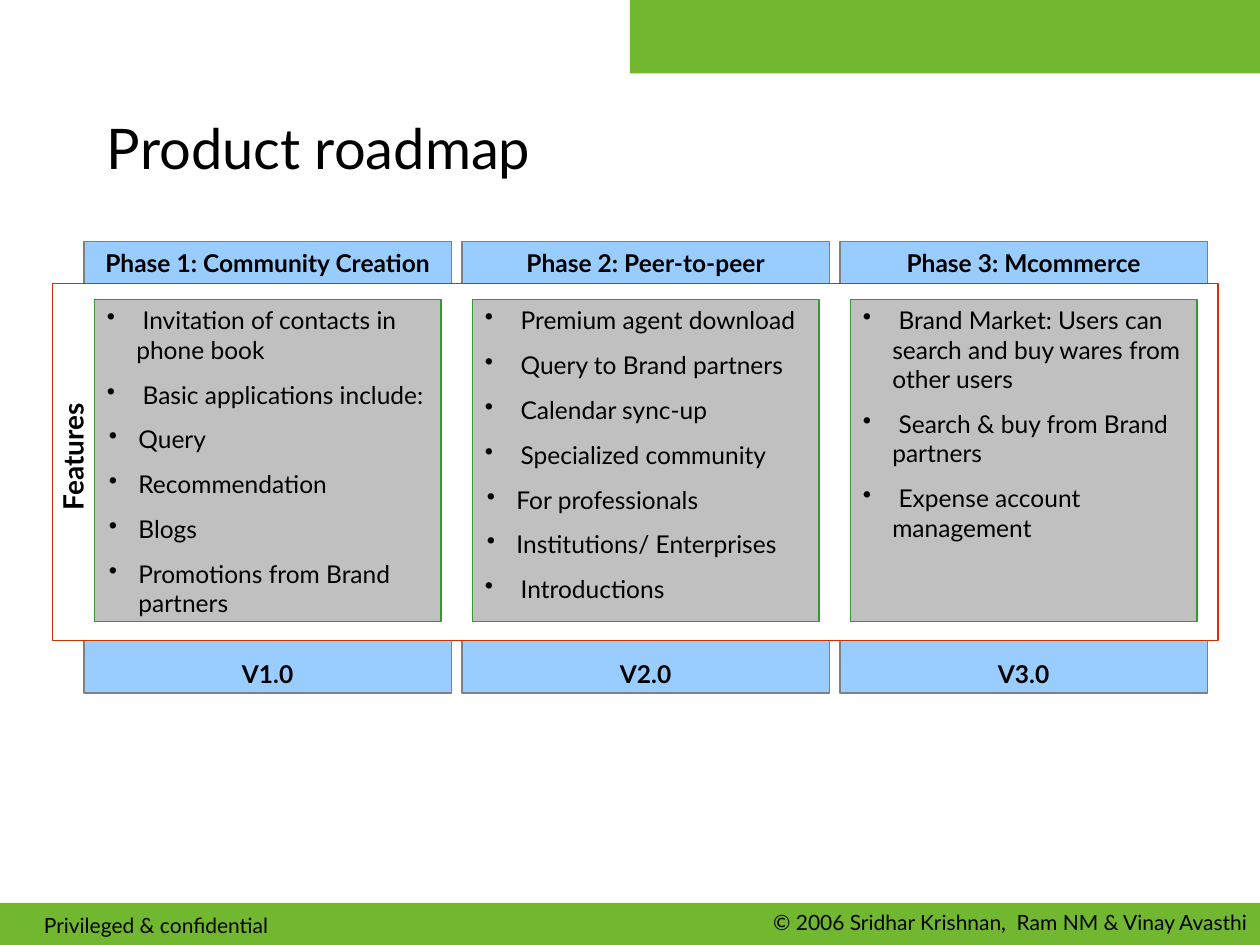
from pptx import Presentation
from pptx.dml.color import RGBColor
from pptx.enum.shapes import MSO_SHAPE
from pptx.enum.text import MSO_ANCHOR, PP_ALIGN
from pptx.oxml.xmlchemy import OxmlElement
from pptx.util import Pt

PX = 7620  # EMU per px, 120 px to the inch
FONT = "Lato"
BLACK = RGBColor(0x00, 0x00, 0x00)
WHITE = RGBColor(0xFF, 0xFF, 0xFF)
GREEN = RGBColor(0x71, 0xB8, 0x30)
BLUE = RGBColor(0x99, 0xCC, 0xFF)
GRAY = RGBColor(0x80, 0x80, 0x80)
SILVER = RGBColor(0xC0, 0xC0, 0xC0)
RED = RGBColor(0xCC, 0x33, 0x00)
DARK_GREEN = RGBColor(0x33, 0x99, 0x33)

COLUMN_LEFT, COLUMN_STEP = 80, 360
HANG = 28                # width kept for a bullet
INDENTS = (28, 30)       # text indent of each bullet level
VERSION_GAP = 218.4      # 13 lines of 14 pt text

# Heading, version, features as (level, text)
PHASES = [
    ("Phase 1: Community Creation", "V1.0", [
        (0, " Invitation of contacts in phone book"),
        (0, " Basic applications include:"),
        (1, "Query"),
        (1, "Recommendation"),
        (1, "Blogs"),
        (1, "Promotions from Brand partners"),
    ]),
    ("Phase 2: Peer-to-peer", "V2.0", [
        (0, " Premium agent download"),
        (0, " Query to Brand partners"),
        (0, " Calendar sync-up"),
        (0, " Specialized community"),
        (1, "For professionals"),
        (1, "Institutions/ Enterprises"),
        (0, " Introductions"),
    ]),
    ("Phase 3: Mcommerce", "V3.0", [
        (0, " Brand Market: Users can search and buy wares from other users"),
        (0, " Search & buy from Brand partners"),
        (0, " Expense account management"),
    ]),
]


def px(*lengths):
    return [n * PX for n in lengths]


def add_rect(slide, box, fill, line=None):
    s = slide.shapes.add_shape(MSO_SHAPE.RECTANGLE, *px(*box))
    s.shadow.inherit = False
    s.fill.solid()
    s.fill.fore_color.rgb = fill
    if line is None:
        s.line.fill.background()
    else:
        s.line.color.rgb = line
        s.line.width = Pt(0.75)
    return s


def write(p, text, size, bold=False, **paragraph_format):
    for name, value in paragraph_format.items():
        setattr(p, name, value)
    r = p.add_run()
    r.text = text
    for name, value in dict(name=FONT, size=Pt(size), bold=bold).items():
        setattr(r.font, name, value)
    r.font.color.rgb = BLACK


def add_label(slide, box, text, size, bold=False, align=PP_ALIGN.LEFT,
              anchor=MSO_ANCHOR.TOP, rotation=0):
    s = slide.shapes.add_textbox(*px(*box))
    s.rotation = rotation
    tf = s.text_frame
    tf.word_wrap = True
    tf.vertical_anchor = anchor
    write(tf.paragraphs[0], text, size, bold, alignment=align)


def add_bullet(p, level):
    pPr = p._p.get_or_add_pPr()
    pPr.set("marL", str(INDENTS[level] * PX))
    pPr.set("indent", str(-HANG * PX))
    bullet = OxmlElement("a:buChar")
    bullet.set("char", "•")
    pPr.append(bullet)


def add_phase(slide, left, heading, version):
    s = add_rect(slide, (left, 230, 350, 430), BLUE, GRAY)
    tf = s.text_frame
    tf.word_wrap = False
    tf.vertical_anchor = MSO_ANCHOR.TOP
    write(tf.paragraphs[0], heading, 14, True, alignment=PP_ALIGN.CENTER)
    write(tf.add_paragraph(), version, 14, True, alignment=PP_ALIGN.CENTER,
          space_before=Pt(VERSION_GAP))


def add_features(slide, left, features):
    s = add_rect(slide, (left, 285, 330, 307), SILVER, DARK_GREEN)
    tf = s.text_frame
    tf.word_wrap = True
    tf.vertical_anchor = MSO_ANCHOR.TOP
    for i, (level, text) in enumerate(features):
        p = tf.add_paragraph() if i else tf.paragraphs[0]
        write(p, text, 14, alignment=PP_ALIGN.LEFT, level=level,
              space_before=Pt(8.8))
        add_bullet(p, level)


def main():
    prs = Presentation()
    prs.slide_width, prs.slide_height = px(1200, 900)
    slide = prs.slides.add_slide(prs.slide_layouts[6])

    # Green bands, title and footer
    add_rect(slide, (0, 860, 1200, 40), GREEN)
    add_rect(slide, (600, 0, 600, 70), GREEN)
    add_label(slide, (90, 80, 1060, 120), "Product roadmap", 32,
              anchor=MSO_ANCHOR.MIDDLE)
    add_label(slide, (30, 863, 360, 36), "Privileged & confidential", 12)
    add_label(slide, (630, 860, 570, 36),
              "© 2006 Sridhar Krishnan,  Ram NM & Vinay Avasthi", 12,
              align=PP_ALIGN.RIGHT)

    # Phase columns lie behind the features frame
    lefts = [COLUMN_LEFT + i * COLUMN_STEP for i in range(len(PHASES))]
    for left, (heading, version, _) in zip(lefts, PHASES):
        add_phase(slide, left, heading, version)

    # Features frame with its side label and cards
    add_rect(slide, (50, 270, 1110, 340), WHITE, RED)
    add_label(slide, (-56, 413, 250, 44), "Features", 16, True,
              PP_ALIGN.CENTER, rotation=270)
    for left, (_, _, features) in zip(lefts, PHASES):
        add_features(slide, left + 10, features)

    prs.save("out.pptx")


if __name__ == "__main__":
    main()
